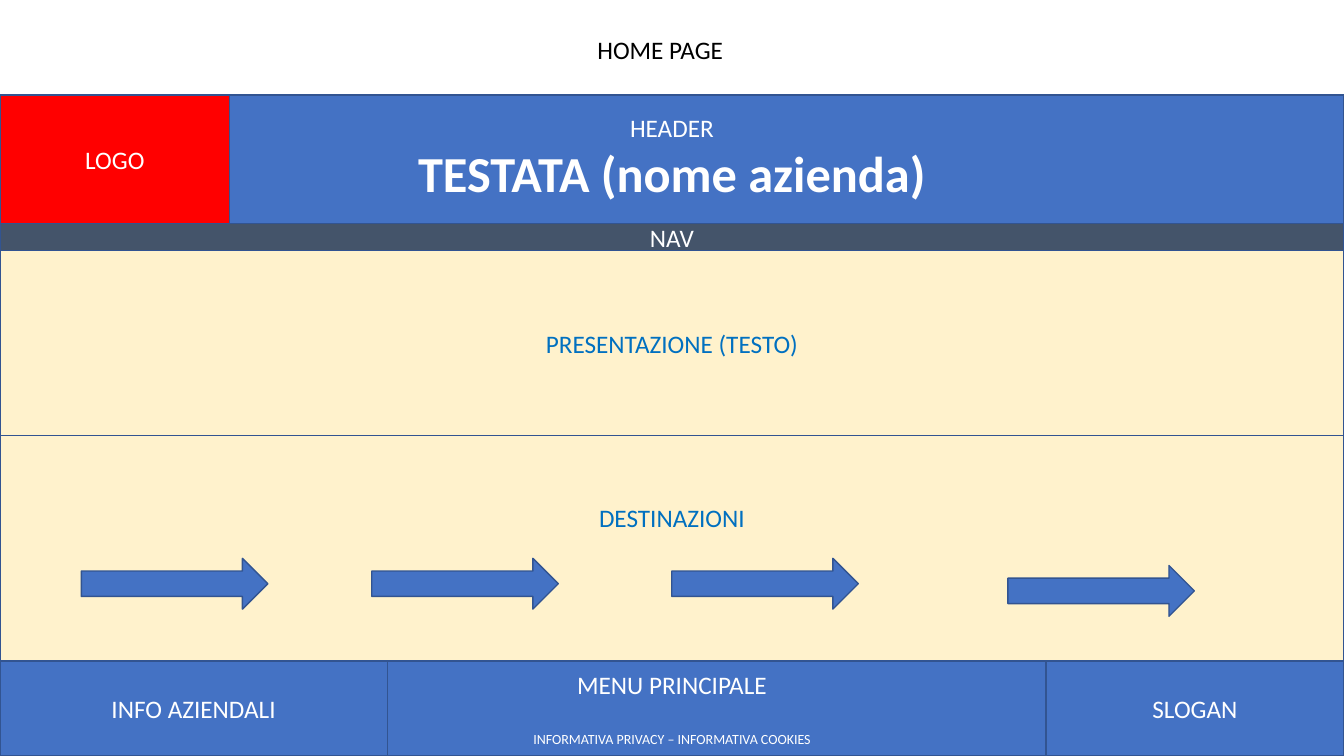
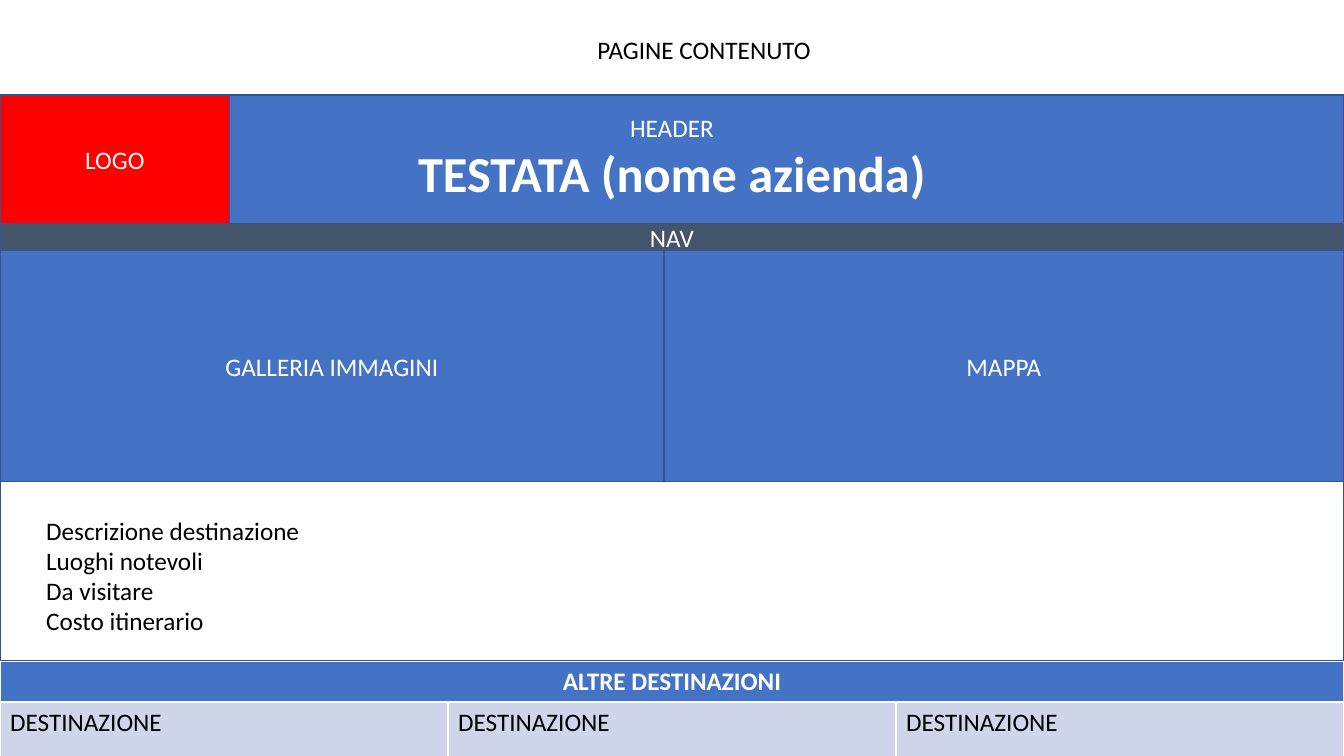
"""Build the two page wireframes of a travel site: home page and content page."""
from pptx import Presentation
from pptx.dml.color import RGBColor
from pptx.enum.shapes import MSO_SHAPE
from pptx.enum.text import MSO_ANCHOR, MSO_AUTO_SIZE, PP_ALIGN
from pptx.util import Cm, Pt

THEME = {
    "font": "Calibri",
    "size": {"body": 18, "brand": 36, "small": 10},
    "line_width": 1,
    "color": {
        "blue": "4472C4", "edge": "325491", "red": "FF0000", "slate": "44546A",
        "cream": "FFF2CC", "link": "0070C0", "pale": "CFD5EA",
        "white": "FFFFFF", "black": "000000",
    },
}

WIDTH, HEIGHT = 33.87, 19.05
HEADER_TOP, NAV_TOP, MAIN_TOP, FOOTER_TOP = 2.39, 5.64, 6.32, 16.66
INTRO_END, MEDIA_END = 10.97, 12.14
LINE_HEIGHT = 0.78

# Each box: left, top, right, bottom, fill, text colour, free lines below, paragraphs
SHARED = [
    (0, HEADER_TOP, WIDTH, MAIN_TOP, "blue", "white", 1,
     [("HEADER", {}), ("TESTATA (nome azienda)", {"size": "brand", "bold": True})]),
    (0, HEADER_TOP, 5.79, NAV_TOP, "red", "white", 0, [("LOGO", {})]),
    (0, NAV_TOP, WIDTH, MAIN_TOP, "slate", "white", 0, [("NAV", {})]),
]
HOME = [
    (0, FOOTER_TOP, WIDTH, HEIGHT, "blue", "white", 0,
     [("MENU PRINCIPALE", {}),
      ("INFORMATIVA PRIVACY – INFORMATIVA COOKIES", {"size": "small", "before": 22})]),
    (0, FOOTER_TOP, 9.76, HEIGHT, "blue", "white", 0, [("INFO AZIENDALI", {})]),
    (26.36, FOOTER_TOP, WIDTH, HEIGHT, "blue", "white", 0, [("SLOGAN", {})]),
    (0, MAIN_TOP, WIDTH, INTRO_END, "cream", "link", 0, [("PRESENTAZIONE (TESTO)", {})]),
    (0, INTRO_END, WIDTH, FOOTER_TOP, "cream", "link", 2, [("DESTINAZIONI", {})]),
]
CONTENT = [
    (0, MAIN_TOP, 16.73, MEDIA_END, "blue", "white", 0, [("GALLERIA IMMAGINI", {})]),
    (16.73, MAIN_TOP, WIDTH, MEDIA_END, "blue", "white", 0, [("MAPPA", {})]),
    (0, MEDIA_END, WIDTH, FOOTER_TOP, None, "black", 0, []),
]
ARROWS = [(2.05, 14.07), (9.37, 14.07), (16.93, 14.07), (25.4, 14.25)]
ARROW_SIZE = (4.7, 1.28)
DETAILS = ["Descrizione destinazione", "Luoghi notevoli", "Da visitare", "Costo itinerario"]
TABLE_TITLE = "ALTRE DESTINAZIONI"
DESTINATIONS = ["DESTINAZIONE"] * 3
TABLE_HEAD = 1


def rgb(name):
    return RGBColor.from_string(THEME["color"][name])


def cm(*values):
    return [Cm(v) for v in values]


def set_all(obj, values):
    for name, value in values.items():
        setattr(obj, name, value)


def write(tf, items, color, align):
    for i, (text, fmt) in enumerate(items):
        p = tf.paragraphs[0] if i == 0 else tf.add_paragraph()
        set_all(p, {"alignment": align, "line_spacing": 1.0,
                    "space_before": Pt(fmt.get("before", 0)), "space_after": Pt(0)})
        r = p.add_run()
        r.text = text
        set_all(r.font, {"name": THEME["font"], "bold": fmt.get("bold", False),
                         "size": Pt(THEME["size"][fmt.get("size", "body")])})
        r.font.color.rgb = rgb(color)


def add_shape(s, kind, at, fill):
    sp = s.shapes.add_shape(kind, *cm(*at))
    sp.shadow.inherit = False
    if fill:
        sp.fill.solid()
        sp.fill.fore_color.rgb = rgb(fill)
    else:
        sp.fill.background()
    sp.line.color.rgb = rgb("edge")
    sp.line.width = Pt(THEME["line_width"])
    return sp


def add_boxes(s, boxes):
    for left, top, right, bottom, fill, color, free, items in boxes:
        sp = add_shape(s, MSO_SHAPE.RECTANGLE, (left, top, right - left, bottom - top), fill)
        tf = sp.text_frame
        set_all(tf, {"word_wrap": True, "vertical_anchor": MSO_ANCHOR.MIDDLE,
                     "margin_bottom": Cm(0.13 + free * LINE_HEIGHT)})
        write(tf, items, color, PP_ALIGN.CENTER)


def fill_placeholder(sp, at, lines):
    set_all(sp, dict(zip(("left", "top", "width", "height"), cm(*at))))
    tf = sp.text_frame
    set_all(tf, {"word_wrap": True, "auto_size": MSO_AUTO_SIZE.NONE,
                 "vertical_anchor": MSO_ANCHOR.TOP})
    write(tf, [(line, {}) for line in lines], "black", PP_ALIGN.LEFT)


def remove_bullets(tf):
    for p in tf.paragraphs:
        ppr = p._p.get_or_add_pPr()
        set_indent = {"marL": "0", "indent": "0"}
        for name, value in set_indent.items():
            ppr.set(name, value)
        ppr.append(ppr.makeelement(
            "{http://schemas.openxmlformats.org/drawingml/2006/main}buNone", {}))


def add_page(prs, layout, title, boxes):
    s = prs.slides.add_slide(prs.slide_layouts.get_by_name(layout))
    fill_placeholder(s.shapes.title, (14.8, 0.74, 8, 1.02), [title])
    add_boxes(s, SHARED + boxes)
    return s


def fill_cell(cell, text, fill, color, align, bold):
    cell.fill.solid()
    cell.fill.fore_color.rgb = rgb(fill)
    write(cell.text_frame, [(text, {"bold": bold})], color, align)


def add_destinations(s):
    n = len(DESTINATIONS)
    at = cm(0, FOOTER_TOP, WIDTH, HEIGHT - FOOTER_TOP)
    table = s.shapes.add_table(2, n, *at).table
    table.rows[0].height = Cm(TABLE_HEAD)
    table.rows[1].height = Cm(HEIGHT - FOOTER_TOP - TABLE_HEAD)
    table.cell(0, 0).merge(table.cell(0, n - 1))
    fill_cell(table.cell(0, 0), TABLE_TITLE, "blue", "white", PP_ALIGN.CENTER, True)
    for i, name in enumerate(DESTINATIONS):
        fill_cell(table.cell(1, i), name, "pale", "black", PP_ALIGN.LEFT, False)


def main():
    prs = Presentation()
    set_all(prs, {"slide_width": Cm(WIDTH), "slide_height": Cm(HEIGHT)})

    s = add_page(prs, "Title Only", "HOME PAGE", HOME)
    for at in ARROWS:
        add_shape(s, MSO_SHAPE.RIGHT_ARROW, at + ARROW_SIZE, "blue")

    s = add_page(prs, "Title and Content", "PAGINE CONTENUTO", CONTENT)
    body = s.placeholders[1]
    fill_placeholder(body, (0.91, 12.85, 8, 3.33), DETAILS)
    remove_bullets(body.text_frame)
    add_destinations(s)

    prs.save("out.pptx")


if __name__ == "__main__":
    main()
